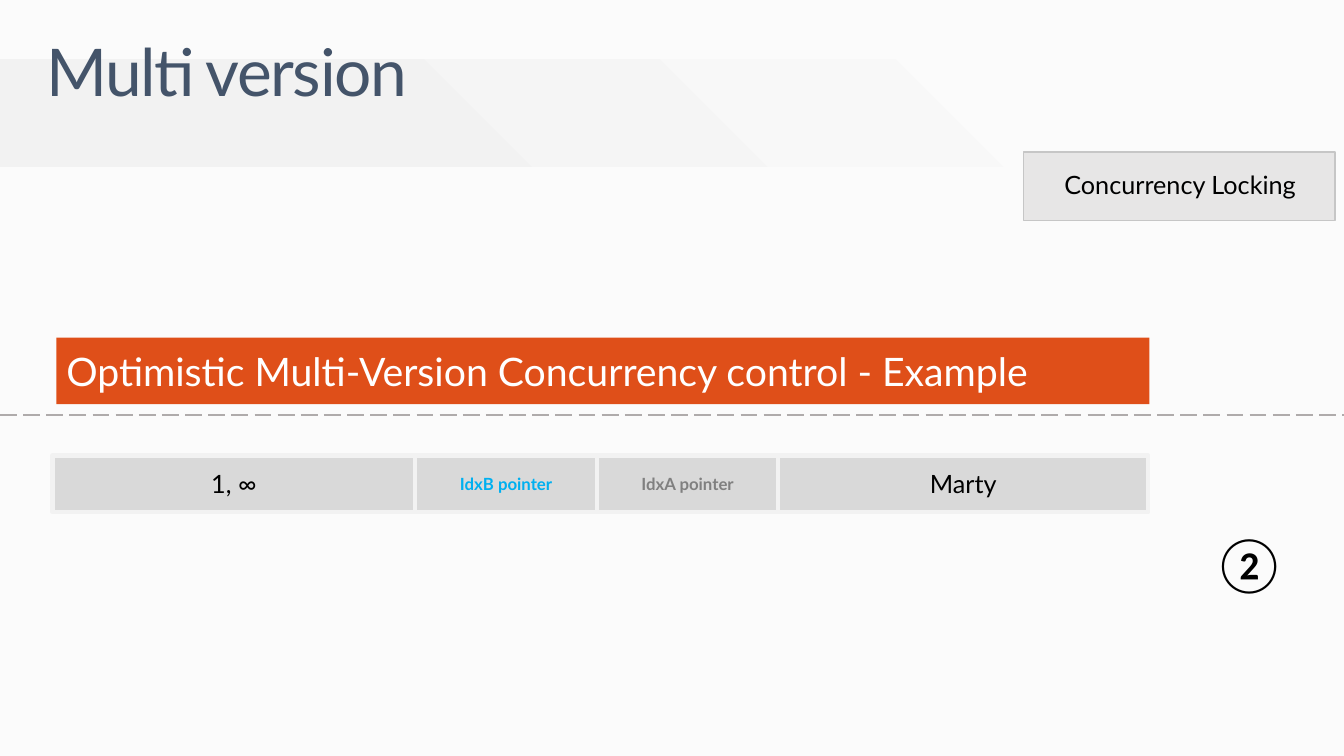
from lxml.etree import SubElement
from pptx import Presentation
from pptx.dml.color import RGBColor
from pptx.enum.dml import MSO_LINE
from pptx.enum.shapes import MSO_CONNECTOR, MSO_SHAPE
from pptx.enum.text import MSO_ANCHOR, PP_ALIGN
from pptx.oxml.ns import qn
from pptx.util import Inches, Pt

COLORS = {
    "background": "FBFBFB", "band": "F2F2F2", "cell": "D9D9D9",
    "black": "000000", "gray": "808080", "blue": "00B0F0",
    "dash": "AFABAB", "tag": "E7E6E6", "tag_edge": "C6C6C6",
    "title": "44546A", "orange": "DF4F19", "white": "FFFFFF",
}


def color(name):
    return RGBColor.from_string(COLORS[name])


def add_block(parent, box, text="", fill=None, line=None, line_width=1, size=18,
              ink="black", font="Lato", bold=False, align=PP_ALIGN.CENTER,
              anchor=MSO_ANCHOR.MIDDLE, insets=(0.1, 0.05), spacing=None, tracking=None):
    place = [Inches(length) for length in box]
    if fill:
        block = parent.add_shape(MSO_SHAPE.RECTANGLE, *place)
        block.shadow.inherit = False
        block.fill.solid()
        block.fill.fore_color.rgb = color(fill)
        if line:
            block.line.color.rgb = color(line)
            block.line.width = Pt(line_width)
        else:
            block.line.fill.background()
    else:
        block = parent.add_textbox(*place)
    if text:
        frame = block.text_frame
        frame.word_wrap = True
        frame.vertical_anchor = anchor
        frame.margin_left = frame.margin_right = Inches(insets[0])
        frame.margin_top = frame.margin_bottom = Inches(insets[1])
        paragraph = frame.paragraphs[0]
        paragraph.alignment = align
        paragraph.line_spacing = spacing
        run = paragraph.add_run()
        run.text = text
        run.font.name = font
        run.font.size = Pt(size)
        run.font.bold = bold
        run.font.color.rgb = color(ink)
        if tracking:
            run.font._element.set("spc", str(tracking))
    return block


prs = Presentation()
prs.slide_width = Inches(13.33)
prs.slide_height = Inches(7.5)
slide = prs.slides.add_slide(prs.slide_layouts[6])
slide.background.fill.solid()
slide.background.fill.fore_color.rgb = color("background")

band = add_block(slide.shapes, (-0.02, 0.59, 11.24, 1.06), fill="band")
band.fill.gradient()
stops = zip(band.fill.gradient_stops, ((0.24, "band"), (1, "background")))
for stop, (position, shade) in stops:
    stop.position = position
    stop.color.rgb = color(shade)
gradient = band._element.spPr.find(qn("a:gradFill"))
gradient.remove(gradient.find(qn("a:lin")))
radial = SubElement(gradient, qn("a:path"), path="circle")
SubElement(radial, qn("a:fillToRect"), t="100000", r="100000")

record = slide.shapes.add_group_shape().shapes
right = 11.39
for text, width, style in (
    ("Marty", 3.67, {}),
    ("IdxA pointer", 1.8, {"size": 12, "ink": "gray", "bold": True}),
    ("IdxB pointer", 1.8, {"size": 12, "ink": "blue", "bold": True}),
    ("1, ∞", 3.6, {}),
):
    right -= width
    add_block(record, (right, 4.52, width, 0.56), text, fill="cell",
              line="band", line_width=3, **style)

add_block(slide.shapes, (11.93, 5.19, 0.58, 0.77), "②", size=40,
          font="Calibri", anchor=MSO_ANCHOR.TOP)

divider = slide.shapes.add_connector(
    MSO_CONNECTOR.STRAIGHT, Inches(0), Inches(4.12), Inches(13.33), Inches(4.12))
divider.line.color.rgb = color("dash")
divider.line.width = Pt(1.5)
divider.line.dash_style = MSO_LINE.LONG_DASH
SubElement(divider._element.spPr, qn("a:effectLst"))

topic = slide.shapes.add_group_shape().shapes
add_block(topic, (10.15, 1.51, 3.09, 0.68), fill="tag", line="tag_edge")
add_block(topic, (10.19, 1.54, 3.03, 0.61), "Concurrency Locking", fill="tag",
          insets=(0.08, 0.08), spacing=0.9)

add_block(slide.shapes, (0.3, 0.29, 10, 1.2), "Multi version", size=47, ink="title",
          align=PP_ALIGN.LEFT, anchor=MSO_ANCHOR.TOP, insets=(0.16, 0.1),
          spacing=0.9, tracking=-100)
add_block(slide.shapes, (0.56, 3.35, 10.84, 0.66),
          "Optimistic Multi-Version Concurrency control - Example",
          fill="orange", size=28, ink="white", align=PP_ALIGN.LEFT)

prs.save("out.pptx")
